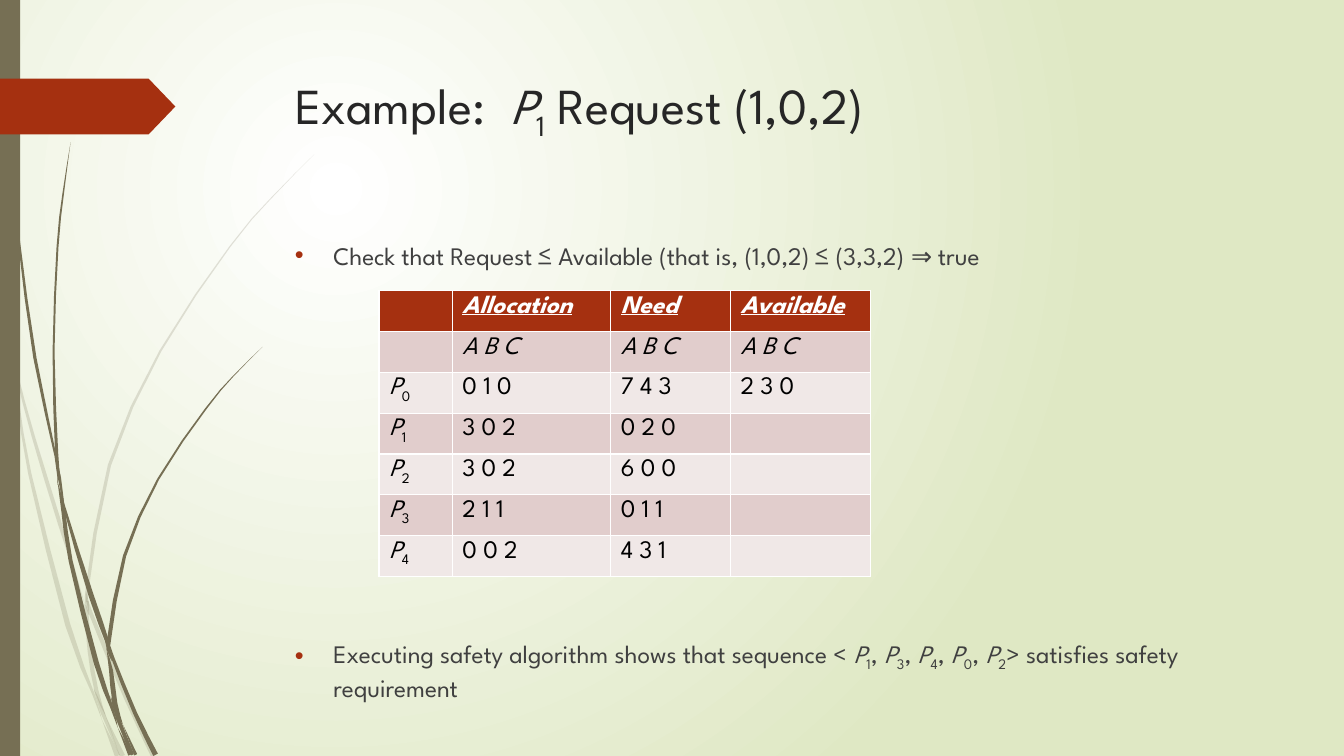
import math

import pptx
import pptx.dml.color
import pptx.enum.shapes
import pptx.enum.text
import pptx.oxml.ns
import pptx.util
from lxml import etree

Cm = pptx.util.Cm
Pt = pptx.util.Pt
RGB = pptx.dml.color.RGBColor
SHAPE = pptx.enum.shapes.MSO_SHAPE
qn = pptx.oxml.ns.qn

FONT = "League Spartan"
WHITE = RGB(0xFF, 0xFF, 0xFF)
BLACK = RGB(0, 0, 0)
GREEN = RGB(0xDF, 0xE8, 0xC4)
OLIVE = RGB(0x76, 0x6F, 0x54)
RED = RGB(0xA5, 0x30, 0x10)
DARK = RGB(0x26, 0x26, 0x26)
GREY = RGB(0x40, 0x40, 0x40)
BANDS = (RGB(0xE1, 0xCD, 0xCC), RGB(0xF0, 0xE8, 0xE7))

# Each blade of grass is a list of (x, y, width) in cm, from top to bottom.
PALE = (
    [(0.36, 8.76, 0), (0.42, 9.4, 0.05), (0.84, 11, 0.08),
     (1.52, 13.23, 0.1), (2.13, 15.21, 0)],
    [(2.24, 15.14, 0), (2.29, 15.46, 0.1), (3.18, 17.6, 0.1),
     (3.87, 19.05, 0.13)],
    [(2.67, 18.06, 0), (3.09, 19.05, 0.13)],
    [(0.28, 8.89, 0), (0.47, 10.2, 0.05), (0.75, 11.93, 0.08),
     (1.71, 15.75, 0.13), (2.35, 17.48, 0.06), (2.57, 18.14, 0)],
    [(2.13, 15.21, 0), (2.18, 15.45, 0.1), (2.26, 16.41, 0.1),
     (2.43, 17.4, 0.1), (2.67, 18.06, 0)],
    [(7.92, 3.89, 0), (6.81, 5.02, 0.02), (5.8, 6.21, 0.03),
     (4.04, 8.85, 0.05), (2.76, 11.72, 0.08), (2.2, 14.83, 0.08),
     (2.24, 15.14, 0)],
    [(2.57, 18.14, 0), (2.96, 19.05, 0.13)],
    [(2.16, 14.88, 0), (2.19, 15.18, 0.1), (2.24, 15.5, 0)],
    [(2.36, 17.35, 0), (2.59, 17.96, 0.1), (3.02, 19.05, 0)],
)
DEEP = (
    [(0.08, 0, 0.02), (0.18, 2.79, 0.03), (0.46, 5.92, 0.05),
     (0.88, 9.02, 0.08), (1.4, 11.5, 0.05), (1.45, 12.22, 0)],
    [(1.52, 11.99, 0), (1.6, 12.7, 0.05), (2.3, 15.01, 0.13),
     (2.69, 16.13, 0.1), (2.69, 16.38, 0)],
    [(2.79, 16.28, 0), (2.84, 16.57, 0.08), (3.4, 17.96, 0.1),
     (3.92, 19.02, 0.13)],
    [(1.45, 12.12, 0), (1.6, 12.9, 0.1), (1.78, 14.13, 0.1),
     (2.43, 16.71, 0.13), (2.81, 17.8, 0.08), (2.97, 18.34, 0)],
    [(1.78, 3.58, 0), (1.59, 4.9, 0.04), (1.45, 6.22, 0.05),
     (1.35, 8.86, 0.05), (1.43, 11.46, 0.08), (1.52, 11.99, 0)],
    [(3.1, 18.26, 0), (3.42, 19.02, 0.08)],
    [(1.4, 11.4, 0), (1.5, 12.05, 0.08), (1.63, 12.83, 0)],
    [(6.62, 8.74, 0), (5.87, 9.49, 0.02), (5.19, 10.3, 0.04),
     (3.99, 12.07, 0.05), (3.14, 14.01, 0.08), (2.76, 16.05, 0.1),
     (2.79, 16.28, 0)],
    [(2.97, 18.34, 0), (3.28, 19.02, 0.1)],
    [(2.69, 16.38, 0), (2.8, 16.9, 0.1), (2.9, 17.73, 0.12),
     (3.1, 18.26, 0)],
    [(2.69, 16.03, 0), (2.74, 16.36, 0.1), (2.82, 16.66, 0)],
    [(2.79, 17.55, 0), (2.97, 18.1, 0.1), (3.34, 19.02, 0.08)],
)
WIDTHS = (1.85, 3.99, 3.02, 3.53)
ROWS = (
    ("", "Allocation", "Need", "Available"),
    ("", "A B C", "A B C", "A B C"),
    ("P_0", "0 1 0", "7 4 3", "2 3 0"),
    ("P_1", "3 0 2", "0 2 0", ""),
    ("P_2", "3 0 2", "6 0 0", ""),
    ("P_3", "2 1 1", "0 1 1", ""),
    ("P_4", "0 0 2", "4 3 1", ""),
)


def paint(shape, color):
    """Give a shape a plain fill with no line or shadow."""
    shape.fill.solid()
    shape.fill.fore_color.rgb = color
    shape.line.fill.background()
    shape.shadow.inherit = False


def smooth(knots):
    """Add a point halfway along the curve between each two knots."""
    ends = [knots[0], *knots, knots[-1]]
    curve = []
    for a, b, c, d in zip(ends, ends[1:], ends[2:], ends[3:]):
        half = [(9 * (q + r) - p - s) / 16 for p, q, r, s in zip(a, b, c, d)]
        curve += [b, half]
    return curve + [knots[-1]]


def add_blade(slide, knots, alpha=100):
    """Draw one tapered blade of grass along its knots."""
    curve = smooth(knots)
    left, right = [], []
    for back, (x, y, width), ahead in zip(
            curve[:1] + curve, curve, curve[1:] + curve[-1:]):
        dx, dy = ahead[0] - back[0], ahead[1] - back[1]
        half = width / 2 / math.hypot(dx, dy)
        left.append((Cm(x - dy * half), Cm(y + dx * half)))
        right.append((Cm(x + dy * half), Cm(y - dx * half)))
    edge = left + right[::-1]
    form = slide.shapes.build_freeform(*edge[0])
    form.add_line_segments(edge[1:], close=True)
    blade = form.convert_to_shape()
    paint(blade, OLIVE)
    if alpha < 100:
        color = blade._element.spPr.find(qn("a:solidFill"))[0]
        etree.SubElement(color, qn("a:alpha"), val=str(alpha * 1000))


def add_block(slide, kind, left, top, width, height, color):
    """Add a plain preset shape, measured in cm."""
    block = slide.shapes.add_shape(
        kind, Cm(left), Cm(top), Cm(width), Cm(height))
    paint(block, color)
    return block


def set_back(slide):
    """Fill the background with a round glow."""
    fill = slide.background.fill
    fill.gradient()
    for stop, color in zip(fill.gradient_stops, (WHITE, GREEN)):
        stop.color.rgb = color
    grad = slide._element.find(".//" + qn("a:gradFill"))
    grad.remove(grad.find(qn("a:lin")))
    glow = etree.SubElement(grad, qn("a:path"), {"path": "circle"})
    etree.SubElement(glow, qn("a:fillToRect"),
                     l="50000", t="50000", r="100000", b="100000")


def add_run(par, text, size, color, italic=False, sub=False):
    """Append one styled run."""
    run = par.add_run()
    run.text = text
    font = run.font
    font.name, font.size, font.italic = FONT, Pt(size), italic
    font.color.rgb = color
    if sub:
        run._r.get_or_add_rPr().set("baseline", "-25000")


def write(par, text, size, color, italic=False):
    """Write text in which P_n stands for P with a lowered n."""
    first, *rest = text.split("P_")
    if first:
        add_run(par, first, size, color, italic)
    for part in rest:
        add_run(par, "P", size, color, italic=True)
        add_run(par, part[0], size, color, sub=True)
        if part[1:]:
            add_run(par, part[1:], size, color)


def place(holder, left, top, width, height):
    """Move a placeholder and return its text frame, set from the top."""
    holder.left, holder.top = Cm(left), Cm(top)
    holder.width, holder.height = Cm(width), Cm(height)
    frame = holder.text_frame
    frame.word_wrap = True
    frame.auto_size = pptx.enum.text.MSO_AUTO_SIZE.NONE
    frame.vertical_anchor = pptx.enum.text.MSO_ANCHOR.TOP
    return frame


def add_point(par, text, gap):
    """Write a list point with a red bullet and a gap above it."""
    par.space_before = Pt(gap)
    props = par._p.get_or_add_pPr()
    props.set("marL", str(Cm(0.97)))
    props.set("indent", str(Cm(-0.97)))
    color = etree.SubElement(props, qn("a:buClr"))
    etree.SubElement(color, qn("a:srgbClr"), val=str(RED))
    etree.SubElement(props, qn("a:buChar"), char="•")
    write(par, text, 18, GREY)


def add_grid(slide):
    """Add the table of allocation, need and available."""
    grid = slide.shapes.add_table(
        len(ROWS), len(WIDTHS), Cm(9.55), Cm(7.32),
        Cm(sum(WIDTHS)), Cm(1.03 * len(ROWS))).table
    for column, width in zip(grid.columns, WIDTHS):
        column.width = Cm(width)
    for i, row in enumerate(ROWS):
        for j, text in enumerate(row):
            cell = grid.cell(i, j)
            cell.fill.solid()
            cell.fill.fore_color.rgb = BANDS[(i - 1) % 2] if i else RED
            par = cell.text_frame.paragraphs[0]
            par.font.size = Pt(18)
            write(par, text, 18, BLACK if i else WHITE, italic=i < 2)
            for run in par.runs:
                run.font.bold = run.font.underline = i == 0


def main():
    """Build the slide and save it."""
    deck = pptx.Presentation()
    deck.slide_width, deck.slide_height = Cm(33.87), Cm(19.05)
    slide = deck.slides.add_slide(deck.slide_layouts[1])
    set_back(slide)
    for knots in PALE:
        add_blade(slide, knots, alpha=20)
    for knots in DEEP:
        add_blade(slide, knots)
    add_block(slide, SHAPE.RECTANGLE, 0, 0, 0.51, 19.05, OLIVE)
    arrow = add_block(slide, SHAPE.PENTAGON, 0, 1.98, 4.42, 1.41, RED)
    arrow.adjustments[0] = 0.48
    title = place(slide.shapes.title, 7.19, 1.73, 24.77, 3.56).paragraphs[0]
    title.alignment = pptx.enum.text.PP_ALIGN.LEFT
    write(title, "Example:  P_1 Request (1,0,2)", 36, DARK)
    body = place(slide.placeholders[1], 7.18, 5.92, 24.77, 11.48)
    add_point(body.paragraphs[0], "Check that Request ≤ Available "
              "(that is, (1,0,2) ≤ (3,3,2) ⇒ true", 0)
    add_point(body.add_paragraph(), "Executing safety algorithm shows that "
              "sequence < P_1, P_3, P_4, P_0, P_2> satisfies safety "
              "requirement", 263)
    add_grid(slide)
    deck.save("out.pptx")


main()
